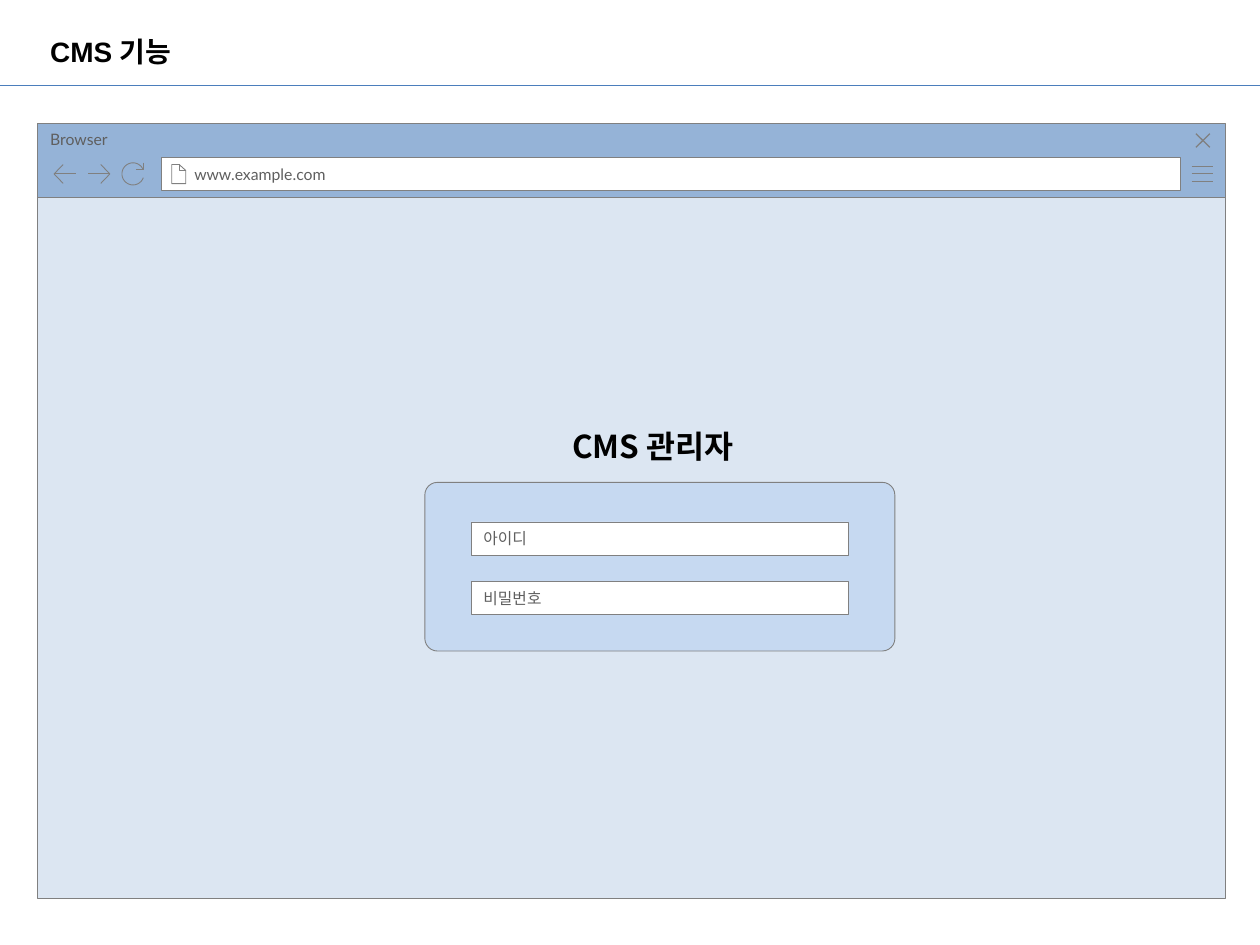
from math import cos, radians, sin

from lxml.etree import SubElement
from pptx import Presentation
from pptx.dml.color import RGBColor as Rgb
from pptx.enum.shapes import MSO_CONNECTOR as Link, MSO_SHAPE as Kind
from pptx.enum.text import MSO_ANCHOR as Anchor, MSO_AUTO_SIZE as Auto, PP_ALIGN as Align
from pptx.oxml.ns import qn
from pptx.util import Pt

BLACK = Rgb(0, 0, 0)
WHITE = Rgb(255, 255, 255)
GRAY = Rgb(0x80, 0x80, 0x80)
INK = Rgb(0x5F, 0x5F, 0x5F)
RULE = Rgb(0x4B, 0x7E, 0xBC)
PAGE = Rgb(0xDC, 0xE6, 0xF2)
BAR = Rgb(0x95, 0xB3, 0xD7)
PANEL = Rgb(0xC6, 0xD9, 0xF1)


def write(shape, text, font="Lato", size=9, color=INK, bold=False,
          anchor=Anchor.MIDDLE, inset=(7.2, 3.6, 7.2, 3.6), wrap=True, fit=Auto.NONE):
    frame = shape.text_frame
    frame.auto_size = fit
    frame.word_wrap = wrap
    frame.vertical_anchor = anchor
    (frame.margin_left, frame.margin_top,
     frame.margin_right, frame.margin_bottom) = map(Pt, inset)
    para = frame.paragraphs[0]
    para.alignment = Align.LEFT
    run = para.add_run()
    run.text = text
    run.font.name, run.font.size, run.font.bold = font, Pt(size), bold
    run.font.color.rgb = color


def box(slide, left, top, width, height, fill, kind=Kind.RECTANGLE):
    shape = slide.shapes.add_shape(kind, Pt(left), Pt(top), Pt(width), Pt(height))
    shape.shadow.inherit = False
    shape.fill.solid()
    shape.fill.fore_color.rgb = fill
    shape.line.color.rgb = GRAY
    shape.line.width = Pt(0.5)
    return shape


def label(slide, left, top, width, height, text, **style):
    area = slide.shapes.add_textbox(Pt(left), Pt(top), Pt(width), Pt(height))
    write(area, text, **style)


def icon(slide, *strokes, width=0.5):
    """Draw open strokes, each a list of (x, y) points, as one outline."""
    paths = [[(Pt(x), Pt(y)) for x, y in stroke] for stroke in strokes]
    pen = slide.shapes.build_freeform(*paths[0][0])
    for place, path in enumerate(paths):
        if place:
            pen.move_to(*path[0])
        pen.add_line_segments(path[1:], close=False)
    shape = pen.convert_to_shape()
    shape.shadow.inherit = False
    shape.fill.background()
    shape.line.color.rgb = GRAY
    shape.line.width = Pt(width)


def arrow(slide, tail, tip, mid):
    neck = tip + (5.2 if tip < tail else -5.2)
    icon(slide, [(neck, mid - 5.4), (tip, mid), (neck, mid + 5.4)],
         [(tip, mid), (tail, mid)])


def rule(slide, y, right):
    line = slide.shapes.add_connector(Link.STRAIGHT, Pt(right), Pt(y), Pt(0), Pt(y))
    line.line.color.rgb = RULE
    line.line.width = Pt(0.75)
    SubElement(line._element.spPr, qn("a:effectLst"))


def browser(slide):
    # Window, title bar and address field
    box(slide, 21.6, 112.9, 678.7, 400.8, PAGE)
    bar = box(slide, 21.6, 70.6, 678.7, 42.3, BAR)
    write(bar, "Browser", anchor=Anchor.TOP, inset=(7.2, 3.6, 18, 3.6))
    field = box(slide, 92.3, 90, 582.2, 18.9, WHITE)
    write(field, "www.example.com", inset=(18.7, 3.6, 7.2, 3.6))

    # Menu and close
    mid = 99.4
    icon(slide, *[[(681, mid + gap), (693.3, mid + gap)] for gap in (4.4, 0, -4.4)])
    icon(slide, [(691.4, 76.4), (683.4, 84.2)], [(683.4, 76.4), (691.4, 84.2)], width=0.75)

    # Page with a folded corner
    icon(slide, [(102.4, 94), (102.4, 97.4), (106.2, 97.4)],
         [(98.2, 94), (98.2, 104.9), (106.2, 104.9), (106.2, 97.4),
          (102.4, 94), (98.2, 94)])

    # Back, forward and reload
    arrow(slide, 43.4, 30.9, mid)
    arrow(slide, 50.3, 62.8, mid)
    turn = [(76 + 6.3 * cos(radians(a)), mid + 6.3 * sin(radians(a)))
            for a in range(20, 336, 5)]
    icon(slide, [(82.1, 92.9), (82.1, 96.8), (77.9, 96.8)], turn)


def login(slide):
    panel = box(slide, 242.8, 275.6, 268.6, 96.4, PANEL, Kind.ROUNDED_RECTANGLE)
    panel.adjustments[0] = 0.075
    for row, text in enumerate(["아이디", "비밀번호"]):
        field = box(slide, 269.2, 298.3 + 34 * row, 215.6, 19, WHITE)
        write(field, text, inset=(7.2, 4.3, 7.2, 4.3))
    label(slide, 320, 240.5, 115.2, 28.8, "CMS 관리자", font="Noto Sans CJK KR", size=18,
          color=BLACK, bold=True, anchor=Anchor.TOP, wrap=False, fit=Auto.SHAPE_TO_FIT_TEXT)


def main():
    deck = Presentation()
    deck.slide_width, deck.slide_height = Pt(720), Pt(540)
    slide = deck.slides.add_slide(deck.slide_layouts[6])
    browser(slide)
    rule(slide, 48.8, 720)
    label(slide, 21.6, 9.4, 203.8, 39.6, "CMS 기능",
          font="Arial", size=16, color=BLACK, bold=True)
    login(slide)
    deck.save("out.pptx")


if __name__ == "__main__":
    main()
